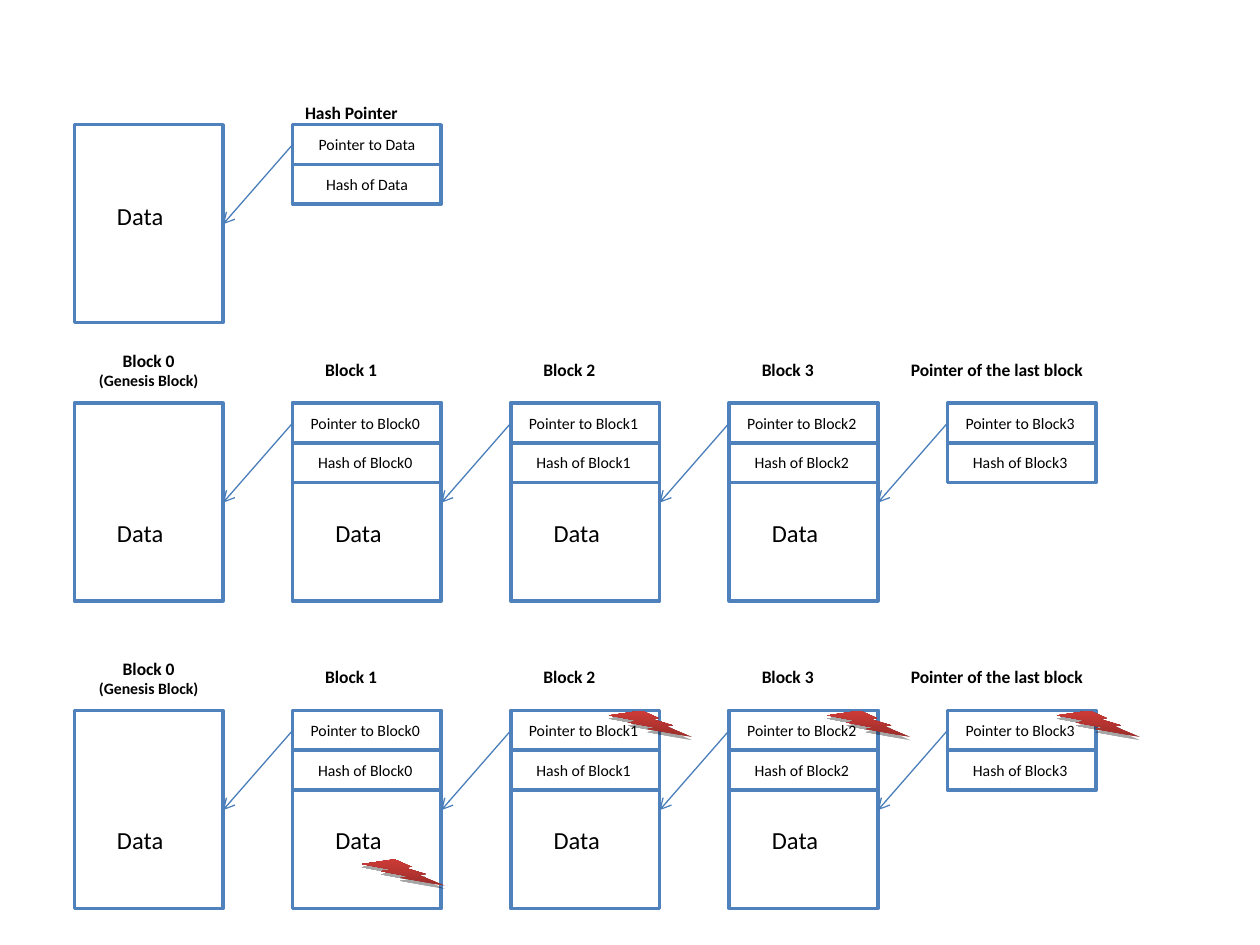
from dataclasses import dataclass

import lxml.etree
import pptx
import pptx.dml.color
import pptx.enum.dml
import pptx.enum.shapes
import pptx.enum.text
import pptx.oxml
import pptx.oxml.ns
import pptx.util

Inch = pptx.util.Inches
Point = pptx.util.Pt
Kind = pptx.enum.shapes.MSO_SHAPE
Align = pptx.enum.text.PP_ALIGN


@dataclass(frozen=True)
class Theme:
    font: str = "Calibri"
    ink: str = "000000"
    paper: str = "FFFFFF"
    edge: str = "4F81BD"
    arrow: str = "4A7EBB"
    dark: str = "9B2D2A"
    light: str = "CE3B37"
    big: float = 14
    head: float = 10
    small: float = 9
    thick: float = 2
    thin: float = 0.75


@dataclass(frozen=True)
class Grid:
    left: float = 0.59
    step: float = (7.52 - 0.59) / 4
    wide: float = 1.18
    tall: float = 1.57
    cell: float = 0.315

    def col(self, num: int) -> float:
        return self.left + num * self.step


@dataclass(frozen=True)
class Box:
    x: float
    y: float
    w: float
    h: float

    def lengths(self) -> list:
        return [Inch(v) for v in (self.x, self.y, self.w, self.h)]


@dataclass(frozen=True)
class Line:
    text: str
    size: float
    bold: bool = False


THEME = Theme()
GRID = Grid()
CHAINS = (3.2, 5.64)
LAST = 4


def color(code: str) -> pptx.dml.color.RGBColor:
    return pptx.dml.color.RGBColor.from_string(code)


def write(frame, lines: list[Line], align) -> None:
    frame.word_wrap = True
    for num, line in enumerate(lines):
        para = frame.add_paragraph() if num else frame.paragraphs[0]
        para.alignment = align
        run = para.add_run()
        run.text = line.text
        run.font.name = THEME.font
        run.font.size = Point(line.size)
        run.font.bold = line.bold
        run.font.color.rgb = color(THEME.ink)


def label(slide, box: Box, lines: list[Line], align=Align.LEFT) -> None:
    frame = slide.shapes.add_textbox(*box.lengths()).text_frame
    write(frame, lines, align)
    frame.auto_size = pptx.enum.text.MSO_AUTO_SIZE.SHAPE_TO_FIT_TEXT


def panel(slide, box: Box, text: str = "") -> None:
    shape = slide.shapes.add_shape(Kind.RECTANGLE, *box.lengths())
    shape.shadow.inherit = False
    shape.fill.solid()
    shape.fill.fore_color.rgb = color(THEME.paper)
    shape.line.color.rgb = color(THEME.edge)
    shape.line.width = Point(THEME.thick)
    if text:
        frame = shape.text_frame
        frame.margin_left = frame.margin_right = Inch(0.04)
        frame.vertical_anchor = pptx.enum.text.MSO_ANCHOR.MIDDLE
        write(frame, [Line(text, THEME.small)], Align.CENTER)


def block(slide, col: int, top: float, drop: float = 0.86) -> None:
    left = GRID.col(col)
    panel(slide, Box(left, top, GRID.wide, GRID.tall))
    label(slide, Box(left + 0.24, top + drop, 0.71, 0.34), [Line("Data", THEME.big)])


def link(slide, col: int, top: float, goal: str) -> None:
    left = GRID.col(col)
    for num, word in enumerate(("Pointer to", "Hash of")):
        box = Box(left, top + num * GRID.cell, GRID.wide, GRID.cell)
        panel(slide, box, f"{word} {goal}")
    ends = (left, top + GRID.cell / 2, GRID.col(col - 1) + GRID.wide, top + 0.79)
    line = slide.shapes.add_connector(
        pptx.enum.shapes.MSO_CONNECTOR.STRAIGHT, *map(Inch, ends)
    )
    line.line.color.rgb = color(THEME.arrow)
    line.line.width = Point(THEME.thin)
    name = pptx.oxml.ns.qn
    tail = lxml.etree.SubElement(line.line._get_or_add_ln(), name("a:tailEnd"))
    tail.set("type", "arrow")
    lxml.etree.SubElement(line._element.spPr, name("a:effectLst"))


def bolt(slide, left: float, top: float) -> None:
    shape = slide.shapes.add_shape(
        Kind.LIGHTNING_BOLT, *Box(left, top, 0.66, 0.21).lengths()
    )
    shape.line.fill.background()
    shape.fill.gradient()
    shape.fill.gradient_angle = 90
    for stop, code in zip(shape.fill.gradient_stops, (THEME.dark, THEME.light)):
        stop.color.rgb = color(code)
    shade = pptx.oxml.parse_xml(
        f'<a:effectLst {pptx.oxml.ns.nsdecls("a")}>'
        f'<a:outerShdw blurRad="0" dist="{Point(1.8)}" dir="5400000" rotWithShape="0">'
        f'<a:srgbClr val="{THEME.ink}"><a:alpha val="35000"/></a:srgbClr>'
        "</a:outerShdw></a:effectLst>"
    )
    shape._element.spPr.append(shade)


def chain(slide, top: float) -> None:
    block(slide, 0, top)
    names = [Line("Block 0", THEME.head, True), Line("(Genesis Block)", THEME.small, True)]
    label(slide, Box(GRID.left - 0.08, top - 0.47, 1.34, 0.42), names, Align.CENTER)
    for col in range(1, LAST + 1):
        left = GRID.col(col)
        if col < LAST:
            block(slide, col, top)
            text, shift, wide = f"Block {col}", 0.16, 0.87
        else:
            text, shift, wide = "Pointer of the last block", -0.39, 2.31
        link(slide, col, top, f"Block{col - 1} ")
        box = Box(left + shift, top - 0.4, wide, 0.27)
        label(slide, box, [Line(text, THEME.head, True)])


def main() -> None:
    deck = pptx.Presentation()
    deck.slide_width, deck.slide_height = Inch(10), Inch(7.5)
    slide = deck.slides.add_slide(deck.slide_layouts[6])

    top = 0.99
    block(slide, 0, top, 0.56)
    link(slide, 1, top, "Data")
    title = [Line("Hash Pointer", THEME.head, True)]
    label(slide, Box(GRID.col(1), top - 0.23, 1.42, 0.27), title)

    for top in CHAINS:
        chain(slide, top)
    bolt(slide, GRID.col(1) + 0.55, CHAINS[1] + 1.18)
    for col, shift in ((2, 0.78), (3, 0.78), (LAST, 0.87)):
        bolt(slide, GRID.col(col) + shift, CHAINS[1])

    deck.save("out.pptx")


if __name__ == "__main__":
    main()
